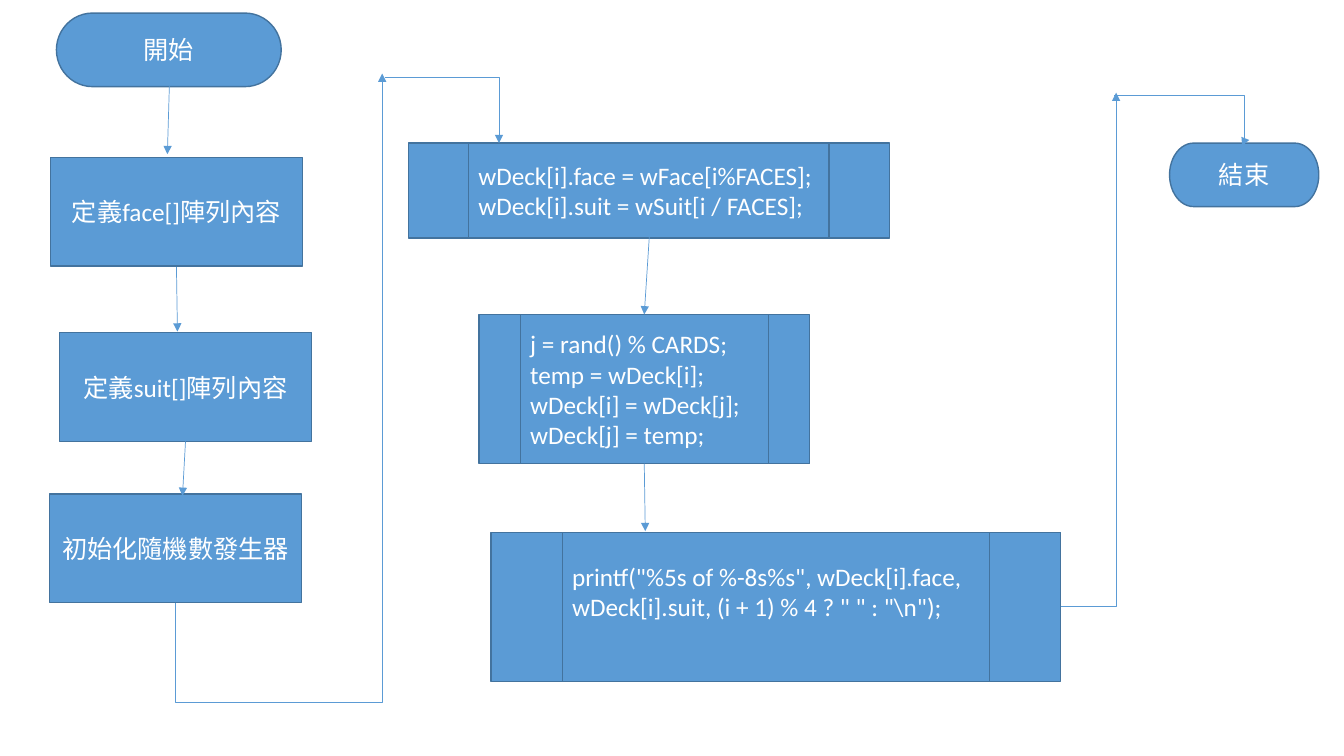
from lxml import etree
from pptx import Presentation
from pptx import util as u
from pptx.dml import color
from pptx.enum import shapes, text
from pptx.oxml import ns

BLUE, OUTLINE, WHITE = "5B9BD5", "43739E", "FFFFFF"
FONT = {"name": "Calibri", "size": u.Pt(18)}
FRAME = {"word_wrap": True, "vertical_anchor": text.MSO_ANCHOR.MIDDLE}


def paint(target, value):
    """Give a solid fill or a font the hex colour."""
    if hasattr(target, "solid"):
        target.solid()
        chosen = target.fore_color
    else:
        chosen = target.color
    chosen.rgb = color.RGBColor.from_string(value)


def add_arrow(slide, kind, points):
    """Draw a thin connector with a triangle at its end."""
    connector = slide.shapes.add_connector(kind, *[u.Inches(value) for value in points])
    connector.line.width = u.Pt(0.5)
    paint(connector.line.fill, BLUE)
    properties = connector._element.spPr
    etree.SubElement(properties.find(ns.qn("a:ln")), ns.qn("a:tailEnd"), type="triangle")
    etree.SubElement(properties, ns.qn("a:effectLst"))
    return connector


presentation = Presentation()
presentation.slide_width = u.Inches(13.33)
presentation.slide_height = u.Inches(7.5)
slide = presentation.slides.add_slide(presentation.slide_layouts[6])

# Flowchart steps: preset, left, top, width, height, lines
TERMINATOR = shapes.MSO_SHAPE.FLOWCHART_TERMINATOR
PROCESS = shapes.MSO_SHAPE.RECTANGLE
ROUTINE = shapes.MSO_SHAPE.FLOWCHART_PREDEFINED_PROCESS
steps = [
    (TERMINATOR, 0.56, 0.13, 2.23, 0.73, ["開始"]),
    (PROCESS, 0.5, 1.56, 2.5, 1.08, ["定義face[]陣列內容"]),
    (PROCESS, 0.59, 3.3, 2.5, 1.08, ["定義suit[]陣列內容"]),
    (PROCESS, 0.49, 4.9, 2.5, 1.08, ["初始化隨機數發生器"]),
    (ROUTINE, 4.05, 1.42, 4.77, 0.94,
     ["wDeck[i].face = wFace[i%FACES];", "wDeck[i].suit = wSuit[i / FACES];"]),
    (ROUTINE, 4.75, 3.12, 3.28, 1.48,
     ["j = rand() % CARDS;", "temp = wDeck[i];",
      "wDeck[i] = wDeck[j];", "wDeck[j] = temp;"]),
    (ROUTINE, 4.87, 5.28, 5.65, 1.48,
     [r'printf("%5s of %-8s%s", wDeck[i].face, wDeck[i].suit, (i + 1) % 4 ? " " : "\n");']),
    (TERMINATOR, 11.6, 1.42, 1.48, 0.63, ["結束"]),
]
for preset, left, top, width, height, lines in steps:
    shape = slide.shapes.add_shape(
        preset, *[u.Inches(value) for value in (left, top, width, height)])
    shape.shadow.inherit = False
    paint(shape.fill, BLUE)
    paint(shape.line.fill, OUTLINE)
    shape.line.width = u.Pt(1)
    frame = shape.text_frame
    for name, value in FRAME.items():
        setattr(frame, name, value)
    if lines[0].startswith("printf"):
        frame.margin_bottom = u.Inches(0.35)
    for number, content in enumerate(lines):
        paragraph = frame.add_paragraph() if number else frame.paragraphs[0]
        paragraph.alignment = (
            text.PP_ALIGN.LEFT if preset == ROUTINE else text.PP_ALIGN.CENTER)
        run = paragraph.add_run()
        run.text = content
        for name, value in FONT.items():
            setattr(run.font, name, value)
        paint(run.font, WHITE)

# Straight arrows within a column: from x, y to x, y
for points in [
    (1.68, 0.85, 1.66, 1.53),
    (1.75, 2.65, 1.76, 3.29),
    (1.84, 4.38, 1.81, 4.92),
    (6.44, 2.35, 6.39, 3.12),
    (6.39, 4.6, 6.4, 5.27),
]:
    add_arrow(slide, shapes.MSO_CONNECTOR.STRAIGHT, points)

# Elbow arrows between columns: unrotated ends, preset, rotation, bend position
for points, preset, degrees, bend in [
    ((5.39, 4.38, 0.14, 2.33), "bentConnector3", 90, -18900),
    ((3.82, 0.77, 4.95, 1.42), "bentConnector3", 0, 100000),
    ((10.52, 6.02, 11.07, 0.92), "bentConnector2", 0, None),
    ((11.05, 0.95, 12.32, 1.45), "bentConnector3", 0, 101900),
]:
    connector = add_arrow(slide, shapes.MSO_CONNECTOR.ELBOW, points)
    properties = connector._element.spPr
    geometry = properties.find(ns.qn("a:prstGeom"))
    geometry.set("prst", preset)
    if degrees:
        properties.find(ns.qn("a:xfrm")).set("rot", str(degrees * 60000))
    if bend is not None:
        etree.SubElement(geometry.find(ns.qn("a:avLst")), ns.qn("a:gd"),
                         name="adj1", fmla=f"val {bend}")

presentation.save("out.pptx")
